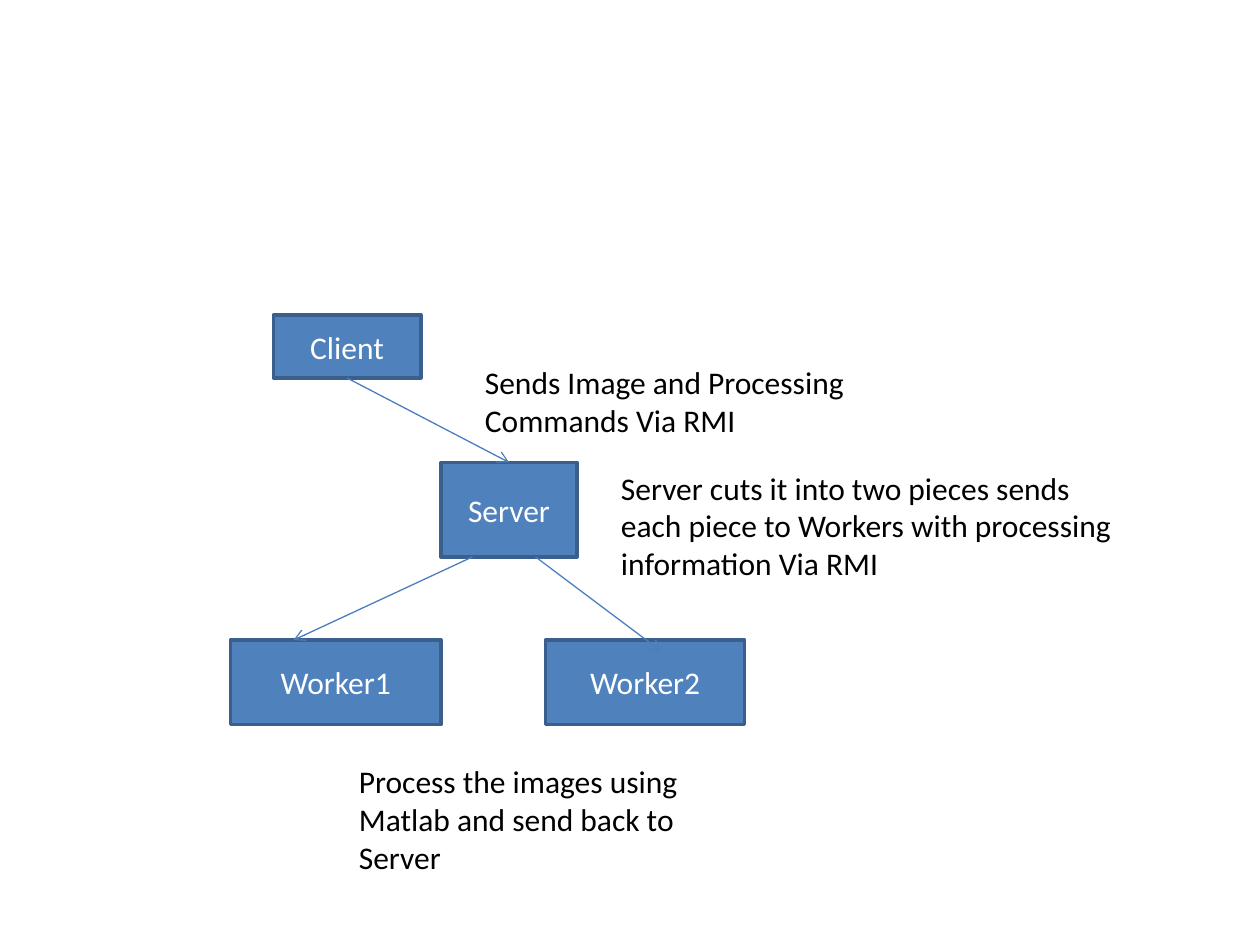
import pptx
import pptx.util
import pptx.dml.color
import pptx.enum.shapes
import pptx.enum.text
import pptx.oxml.ns
import lxml.etree

Inches, Pt = pptx.util.Inches, pptx.util.Pt
FONT, SIZE = "Calibri", 18

# Content: left, top, width, height in inches
BOXES = {
    "Client": (2.17, 2.5, 1.17, 0.5),
    "Server": (3.5, 3.67, 1.08, 0.75),
    "Worker1": (1.83, 5.08, 1.67, 0.67),
    "Worker2": (4.33, 5.08, 1.58, 0.67),
}
NOTES = [
    ("Sends Image and Processing Commands Via RMI", (3.75, 2.83, 3.58, 0.71)),
    ("Server cuts it into two pieces sends each piece to Workers "
     "with processing information Via RMI", (4.83, 3.67, 4.25, 1.01)),
    ("Process the images using Matlab and send back to Server",
     (2.75, 6, 3.25, 1.01)),
]
# Start, end, and the boxes joined at bottom and top centre, if any
ARROWS = [
    ((2.75, 3), (4.04, 3.67), ("Client", "Server")),
    ((3.75, 4.42), (2.33, 5.08), None),
    ((4.25, 4.42), (5.25, 5.17), None),
]


def rgb(color):
    return pptx.dml.color.RGBColor.from_string(color)


def set_text(sp, text, color, align):
    tf = sp.text_frame
    tf.word_wrap = True
    tf.text = text
    p = tf.paragraphs[0]
    p.alignment = align
    font = p.runs[0].font
    font.name, font.size = FONT, Pt(SIZE)
    font.color.rgb = rgb(color)
    return tf


def add_box(s, text, place):
    sp = s.shapes.add_shape(pptx.enum.shapes.MSO_SHAPE.RECTANGLE,
                            *map(Inches, place))
    sp.shadow.inherit = False
    sp.fill.solid()
    sp.fill.fore_color.rgb = rgb("4F81BD")
    sp.line.color.rgb = rgb("3A5F8C")
    sp.line.width = Pt(2)
    tf = set_text(sp, text, "FFFFFF", pptx.enum.text.PP_ALIGN.CENTER)
    tf.vertical_anchor = pptx.enum.text.MSO_ANCHOR.MIDDLE
    return sp


def add_note(s, text, place):
    sp = s.shapes.add_textbox(*map(Inches, place))
    tf = set_text(sp, text, "000000", pptx.enum.text.PP_ALIGN.LEFT)
    tf.auto_size = pptx.enum.text.MSO_AUTO_SIZE.SHAPE_TO_FIT_TEXT


def add_arrow(s, start, end):
    line = s.shapes.add_connector(pptx.enum.shapes.MSO_CONNECTOR.STRAIGHT,
                                  *map(Inches, start + end))
    line.line.color.rgb = rgb("4B7EBC")
    line.line.width = Pt(0.75)
    # Open arrowhead at the end, no shadow
    qn = pptx.oxml.ns.qn
    props = line._element.spPr
    lxml.etree.SubElement(props.find(qn("a:ln")), qn("a:tailEnd"), type="arrow")
    lxml.etree.SubElement(props, qn("a:effectLst"))
    return line


def main():
    prs = pptx.Presentation()
    prs.slide_width, prs.slide_height = Inches(10), Inches(7.5)
    s = prs.slides.add_slide(prs.slide_layouts[6])

    # Machines
    boxes = {name: add_box(s, name, place) for name, place in BOXES.items()}

    # Message flow
    for start, end, joined in ARROWS:
        line = add_arrow(s, start, end)
        if joined:
            line.begin_connect(boxes[joined[0]], 2)
            line.end_connect(boxes[joined[1]], 0)

    # Explanations
    for text, place in NOTES:
        add_note(s, text, place)

    prs.save("out.pptx")


if __name__ == "__main__":
    main()
